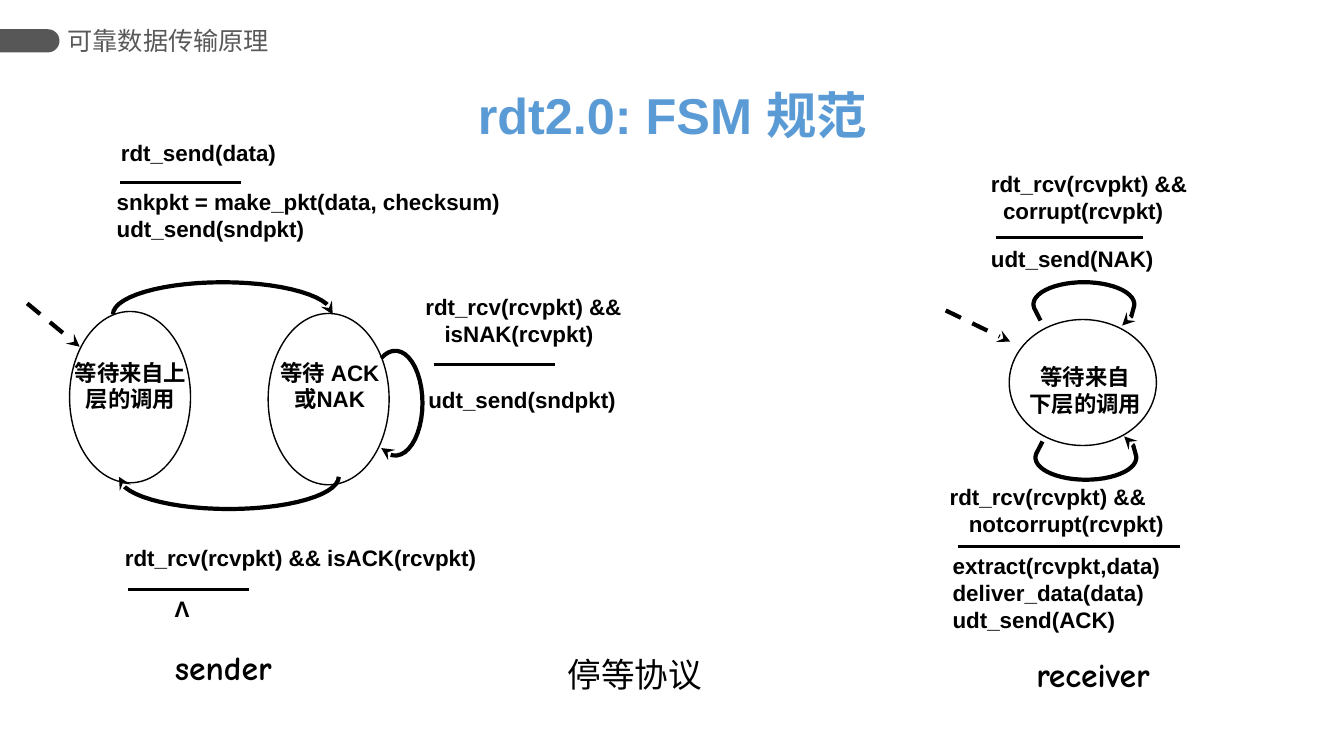
"""Build the rdt2.0 sender and receiver state machine slide."""
from math import cos, radians, sin
from pptx import Presentation
from pptx.dml import color
from pptx.enum import dml, shapes, text
from pptx.oxml import ns
from pptx.util import Inches, Pt
from lxml import etree

LEFT, MID = text.PP_ALIGN.LEFT, text.PP_ALIGN.CENTER
ARIAL, COMIC, NOTO = "Arial", "Comic Neue", "Noto Sans CJK SC"


def write(box, lines, size=16, align=LEFT, face=ARIAL, bold=True, tint="000000", indent=0, wrap=True):
    """Fill a box with lines; indent moves every line after the first."""
    frame = box.text_frame
    frame.text = "\n".join(lines)
    frame.word_wrap = wrap
    frame.auto_size = text.MSO_AUTO_SIZE.NONE
    frame.vertical_anchor = text.MSO_ANCHOR.TOP
    for row, para in enumerate(frame.paragraphs):
        para.alignment = align
        para.line_spacing = Pt(size * 1.2)
        font = para.font
        font.size, font.bold, font.name = Pt(size), bold, face
        font.color.rgb = color.RGBColor.from_string(tint)
        props = para._p.get_or_add_pPr()
        east = etree.SubElement(props.find(ns.qn("a:defRPr")), ns.qn("a:ea"))
        east.set("typeface", face)
        if row and indent:
            props.set("marL", str(Inches(indent)))
    return frame


def ink(shape, width, arrow=False):
    """Give a shape a black outline, no shadow and maybe an arrowhead."""
    shape.line.color.rgb = color.RGBColor.from_string("000000")
    shape.line.width = Pt(width)
    if arrow:
        tail = etree.SubElement(shape.line._get_or_add_ln(), ns.qn("a:tailEnd"))
        tail.set("type", "stealth")
    etree.SubElement(shape._element.spPr, ns.qn("a:effectLst"))


deck = Presentation()
deck.slide_width, deck.slide_height = Inches(13.33), Inches(7.5)
slide = deck.slides.add_slide(deck.slide_layouts[5])
items = slide.shapes

tab = items.add_shape(shapes.MSO_SHAPE.ROUND_2_SAME_RECTANGLE,
                      Inches(0.18), Inches(0.11), Inches(0.23), Inches(0.59))
tab.rotation = 90
tab.adjustments[0] = 0.5
tab.fill.solid()
tab.fill.fore_color.rgb = color.RGBColor.from_string("575757")
tab.line.fill.background()
tab.shadow.inherit = False

head = items.add_textbox(Inches(0.67), Inches(0.19), Inches(2.33), Inches(0.42))
frame = write(head, ["可靠数据传输原理"], 18, bold=False, tint="595959")
frame.margin_left = frame.margin_right = 0
frame.vertical_anchor = text.MSO_ANCHOR.MIDDLE

title = items.title
title.left, title.top, title.width, title.height = map(Inches, (4.62, 0.78, 4.1, 0.71))
write(title, ["rdt2.0: FSM 规范"], 36, MID, tint="5B9BD5")

for x, y, w, h in [(0.69, 3.09, 1.2, 1.7), (2.66, 3.11, 1.2, 1.7), (10.01, 3.17, 1.46, 1.25)]:
    state = items.add_shape(shapes.MSO_SHAPE.OVAL, Inches(x), Inches(y), Inches(w), Inches(h))
    state.fill.solid()
    state.fill.fore_color.rgb = color.RGBColor.from_string("FFFFFF")
    ink(state, 1)

# centre x, centre y, radius x, radius y, first angle, last angle, lead-in, run-out
arcs = [
    (2.21, 3.12, 1.09, 0.32, 180, 360, [], []),
    (2.27, 4.73, 1.09, 0.32, 0, 180, [], []),
    (3.92, 4, 0.27, 0.52, -121, 121, [], []),
    (10.75, 3.02, 0.5, 0.22, 170, 370, [(10.32, 3.18)], [(11.22, 3.14), (11.13, 3.23)]),
    (10.77, 4.54, 0.5, -0.22, 170, 370, [(10.34, 4.38)], [(11.24, 4.42), (11.15, 4.33)]),
]
for cx, cy, rx, ry, first, last, lead, out in arcs:
    turns = [radians(first + (last - first) * step / 28) for step in range(29)]
    dots = lead + [(cx + rx * cos(t), cy + ry * sin(t)) for t in turns] + out
    path = [(Inches(x), Inches(y)) for x, y in dots]
    pen = items.build_freeform(*path[0])
    pen.add_line_segments(path[1:], close=False)
    curve = pen.convert_to_shape()
    curve.fill.background()
    ink(curve, 3, True)

rules = [(1.19, 1.81, 1.2), (1.27, 5.85, 1.2), (4.3, 3.62, 1.2), (9.5, 5.42, 2.2), (9.88, 2.36, 1.46)]
links = [(x, y, x + w, y, False) for x, y, w in rules]
links += [(0.27, 3.01, 0.79, 3.44, True), (9.38, 3.08, 10.02, 3.39, True)]
for x, y, right, low, start in links:
    link = items.add_connector(shapes.MSO_CONNECTOR.STRAIGHT,
                               Inches(x), Inches(y), Inches(right), Inches(low))
    if start:
        link.line.dash_style = dml.MSO_LINE.DASH
    ink(link, 3 if start else 2, start)

notes = [
    (1.1, 1.33, 2.72, 0.76, ["rdt_send(data)"], 0),
    (1.06, 1.82, 4.4, 0.7, ["snkpkt = make_pkt(data, checksum)", "udt_send(sndpkt)"], 0),
    (1.14, 5.35, 4.28, 0.5, ["rdt_rcv(rcvpkt) && isACK(rcvpkt)"], 0),
    (4.12, 2.86, 2.52, 0.84, ["rdt_rcv(rcvpkt) &&", "isNAK(rcvpkt)"], 0.19),
    (4.15, 3.78, 2.13, 0.7, ["udt_send(sndpkt)"], 0),
    (9.73, 1.64, 2.84, 0.4, ["rdt_rcv(rcvpkt) &&", "corrupt(rcvpkt)"], 0.12),
    (9.73, 2.38, 2.7, 0.33, ["udt_send(NAK)"], 0),
    (9.32, 4.74, 3.19, 0.91, ["rdt_rcv(rcvpkt) &&", "notcorrupt(rcvpkt)"], 0.19),
    (9.35, 5.43, 3.16, 0.8, ["extract(rcvpkt,data)", "deliver_data(data)", "udt_send(ACK)"], 0),
]
for x, y, w, h, lines, indent in notes:
    box = items.add_textbox(Inches(x), Inches(y), Inches(w), Inches(h))
    write(box, lines, indent=indent)

names = [
    (0.57, 3.51, 1.45, 0.8, ["等待来自上层的调用"], 16, ARIAL, True),
    (2.62, 3.51, 1.3, 0.8, ["等待 ACK 或NAK"], 16, ARIAL, True),
    (9.88, 3.55, 1.77, 0.64, ["等待来自", "下层的调用"], 16, ARIAL, True),
    (1.63, 5.86, 0.35, 0.37, ["Λ"], 16, ARIAL, False),
    (1.58, 6.37, 1.27, 0.5, ["sender"], 24, COMIC, False),
    (10.09, 6.44, 1.5, 0.5, ["receiver"], 24, COMIC, False),
    (5.52, 6.44, 1.55, 0.5, ["停等协议"], 24, NOTO, False),
]
for x, y, w, h, lines, size, face, wrap in names:
    box = items.add_textbox(Inches(x), Inches(y), Inches(w), Inches(h))
    write(box, lines, size, MID, face, face != NOTO, wrap=wrap)

deck.save("out.pptx")
